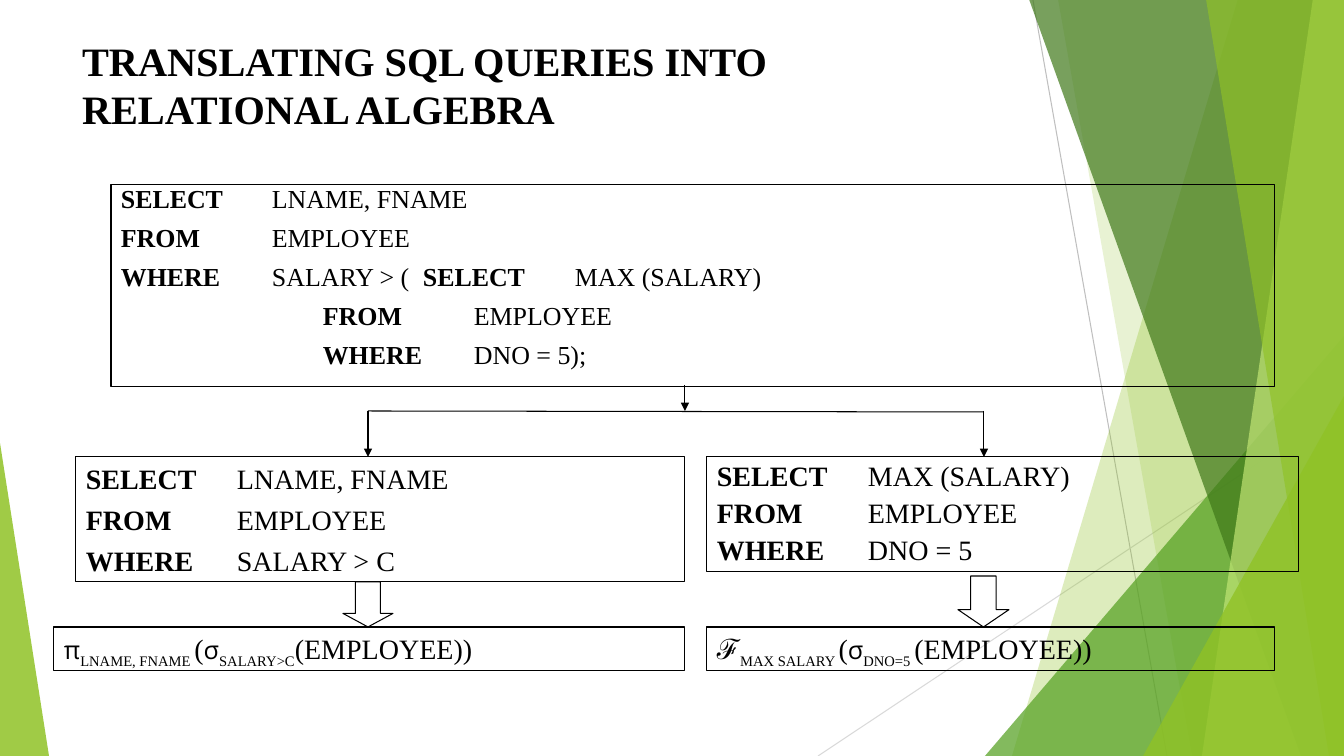
"""Build a slide on translating SQL queries into relational algebra."""
from lxml.etree import SubElement
from pptx import Presentation
from pptx.dml.color import RGBColor
from pptx.enum.shapes import MSO_CONNECTOR as Connector, MSO_SHAPE as Shape
from pptx.enum.text import MSO_ANCHOR as Anchor, PP_ALIGN as Align
from pptx.oxml.ns import qn
from pptx.util import Pt

SCALE = 12192000 / 1344
THEME = {
    "ink": "000000", "lime": "90C226", "green": "54A021", "forest": "3F7819",
    "pale": "C0E474", "grey": "BFBFBF", "light grey": "D9D9D9", "line": 0.75,
    "title": ("Times New Roman", 28.8, True, 0),
    "query keyword": ("Times New Roman", 18.5, True, 0),
    "query": ("Times New Roman", 18.5, False, 0),
    "keyword": ("Times New Roman", 20, True, 0),
    "plain": ("Times New Roman", 20, False, 0),
    "greek": ("Open Sans", 18, False, 0),
    "script": ("Cabin", 20, False, 0),
    "subscript": ("Times New Roman", 18, False, -25000),
}


def px(*lengths):
    """Turn pixel lengths into EMU."""
    return [round(length * SCALE) for length in lengths]


def write(shape, lines, line_spacing, space_before, tab_rows):
    """Fill a shape with lines of (text, style) runs."""
    frame = shape.text_frame
    frame.word_wrap = True
    frame.vertical_anchor = Anchor.TOP
    for index, line in enumerate(lines):
        paragraph = frame.paragraphs[0] if index == 0 else frame.add_paragraph()
        paragraph.alignment = Align.LEFT
        paragraph.line_spacing = line_spacing
        paragraph.space_before = Pt(space_before)
        if tab_rows:
            tab_list = SubElement(paragraph._p.get_or_add_pPr(), qn("a:tabLst"))
            for stop in px(*tab_rows[index]):
                SubElement(tab_list, qn("a:tab"), pos=str(stop), algn="l")
        for text, style in line:
            name, size, bold, baseline = THEME[style]
            run = paragraph.add_run()
            run.text = text
            run.font.name, run.font.size, run.font.bold = name, Pt(size), bold
            run.font.color.rgb = RGBColor.from_string(THEME["ink"])
            if baseline:
                run._r.get_or_add_rPr().set("baseline", str(baseline))


presentation = Presentation()
presentation.slide_width, presentation.slide_height = px(1344, 756)
slide = presentation.slides.add_slide(presentation.slide_layouts[5])
shapes = slide.shapes

title = shapes.title
title.left, title.top, title.width, title.height = px(72, 31, 948, 93)
write(title, [[("TRANSLATING SQL QUERIES INTO RELATIONAL ALGEBRA", "title")]], 1.0, 0, None)

connectors = [
    ((1033, 0, 1167, 756), "grey", False),
    ((1344, 406, 818, 756), "light grey", False),
    ((368, 411, 984, 412), "ink", False),
    ((685, 385, 685, 411), "ink", True),
    ((368, 411, 368, 457), "ink", True),
    ((984, 411, 984, 457), "ink", True),
]
for ends, color, has_head in connectors:
    connector = shapes.add_connector(Connector.STRAIGHT, *px(*ends))
    connector.line.color.rgb = RGBColor.from_string(THEME[color])
    connector.line.width = Pt(THEME["line"])
    if has_head:
        SubElement(connector.line._get_or_add_ln(), qn("a:tailEnd"), type="triangle")
    SubElement(connector._element.spPr, qn("a:effectLst"))

facets = [
    ((1238, 1012), "lime", 30),
    ((1058, 1192), "lime", 20),
    ((985, 336, 359, 420, 1), "green", 72),
    ((1029, 1301), "forest", 70),
    ((1313, 1202), "pale", 70),
    ((1206, 1329), "lime", 65),
    ((1143, 396, 201, 360, 1), "lime", 80),
    ((0, 443, 49, 313, 0), "lime", 85),
]
for outline, color, opacity in facets:
    if len(outline) == 2:
        top_x, bottom_x = outline
        builder = shapes.build_freeform(top_x, -1, scale=SCALE)
        builder.add_line_segments([(1344, -1), (1344, 756), (bottom_x, 756)], close=True)
        facet = builder.convert_to_shape()
    else:
        *box, apex = outline
        facet = shapes.add_shape(Shape.ISOSCELES_TRIANGLE, *px(*box))
        facet.adjustments[0] = apex
    facet.shadow.inherit = False
    facet.line.fill.background()
    facet.fill.solid()
    facet.fill.fore_color.rgb = RGBColor.from_string(THEME[color])
    tint = facet._element.spPr.find(qn("a:solidFill"))[0]
    SubElement(tint, qn("a:alpha"), val=str(opacity * 1000))

nested_query = [
    [("SELECT", "query keyword"), ("\tLNAME, FNAME", "query")],
    [("FROM", "query keyword"), ("\tEMPLOYEE", "query")],
    [("WHERE", "query keyword"), ("\tSALARY > (\t", "query"),
     ("SELECT", "query keyword"), ("\tMAX (SALARY)", "query")],
    [("\tFROM", "query keyword"), ("\tEMPLOYEE", "query")],
    [("\tWHERE", "query keyword"), ("\tDNO = 5);", "query")],
]
inner_block, outer_block = [
    [[(keyword, "keyword"), ("\t" + value, "plain")]
     for keyword, value in zip(("SELECT", "FROM", "WHERE"), values)]
    for values in (("MAX (SALARY)", "EMPLOYEE", "DNO = 5"),
                   ("LNAME, FNAME", "EMPLOYEE", "SALARY > C"))
]
outer_algebra = [[
    ("π", "greek"), ("LNAME, FNAME ", "subscript"), ("(", "plain"),
    ("σ", "greek"), ("SALARY>C", "subscript"), ("(EMPLOYEE))", "plain"),
]]
inner_algebra = [[
    ("ℱ", "script"), ("MAX SALARY ", "subscript"), ("(", "plain"),
    ("σ", "greek"), ("DNO=5 ", "subscript"), ("(EMPLOYEE))", "plain"),
]]
nested_tabs = [[151], [151], [151, 302, 454], [202, 353], [202, 353]]
block_tabs = [[151]] * 3

panels = [
    ((111, 184, 1164, 203), nested_query, 0.8, 10, nested_tabs),
    ((707, 457, 592, 115), inner_block, 0.9, 5, block_tabs),
    ((76, 457, 609, 125), outer_block, 1.0, 5, block_tabs),
    ((54, 627, 631, 44), outer_algebra, 1.0, 10, None),
    ((707, 627, 568, 44), inner_algebra, 1.0, 10, None),
]
arrows = [((343, 582, 50, 45), 0.3), ((958, 576, 51, 51), 0.34)]
frames = [shapes.add_shape(Shape.RECTANGLE, *px(*panel[0])) for panel in panels]
for frame, panel in zip(frames, panels):
    write(frame, *panel[1:])
for box, head in arrows:
    arrow = shapes.add_shape(Shape.DOWN_ARROW, *px(*box))
    arrow.adjustments[0], arrow.adjustments[1] = 0.5, head
    frames.append(arrow)
for frame in frames:
    frame.shadow.inherit = False
    frame.fill.background()
    frame.line.color.rgb = RGBColor.from_string(THEME["ink"])
    frame.line.width = Pt(THEME["line"])

presentation.save("out.pptx")
